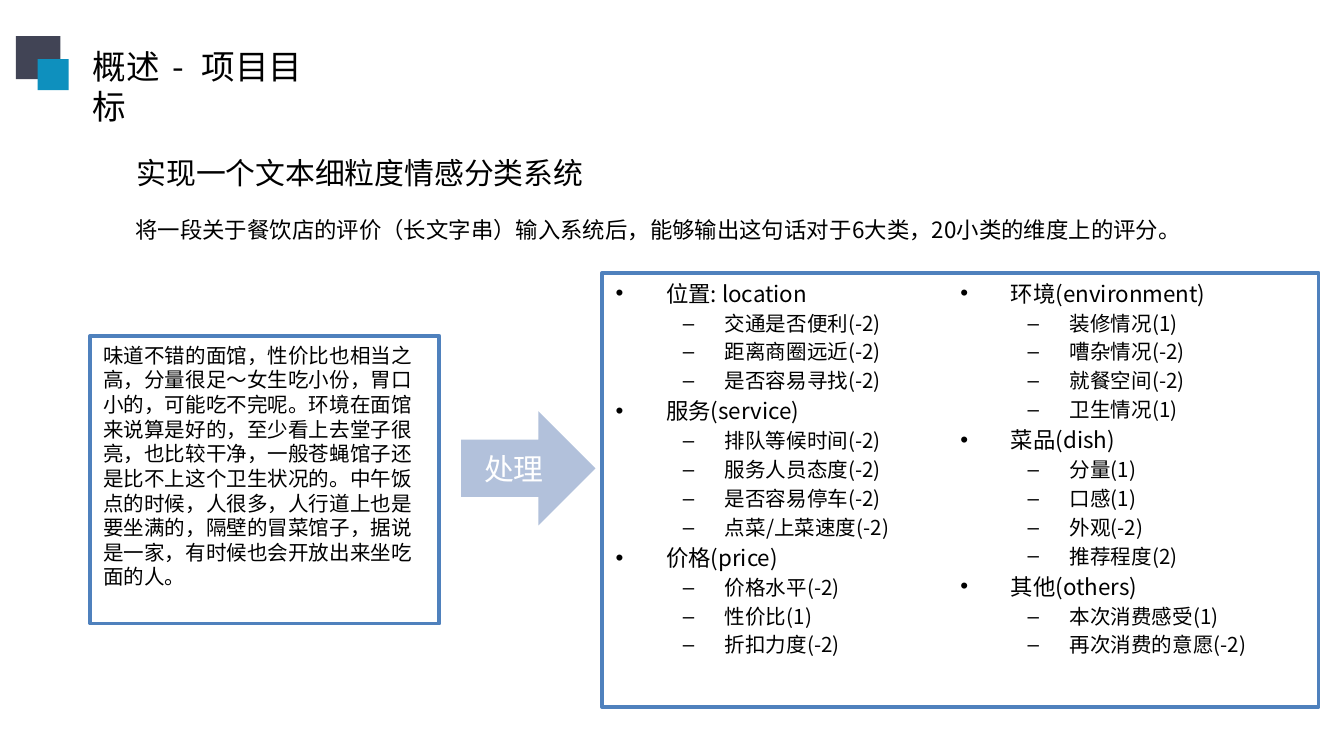
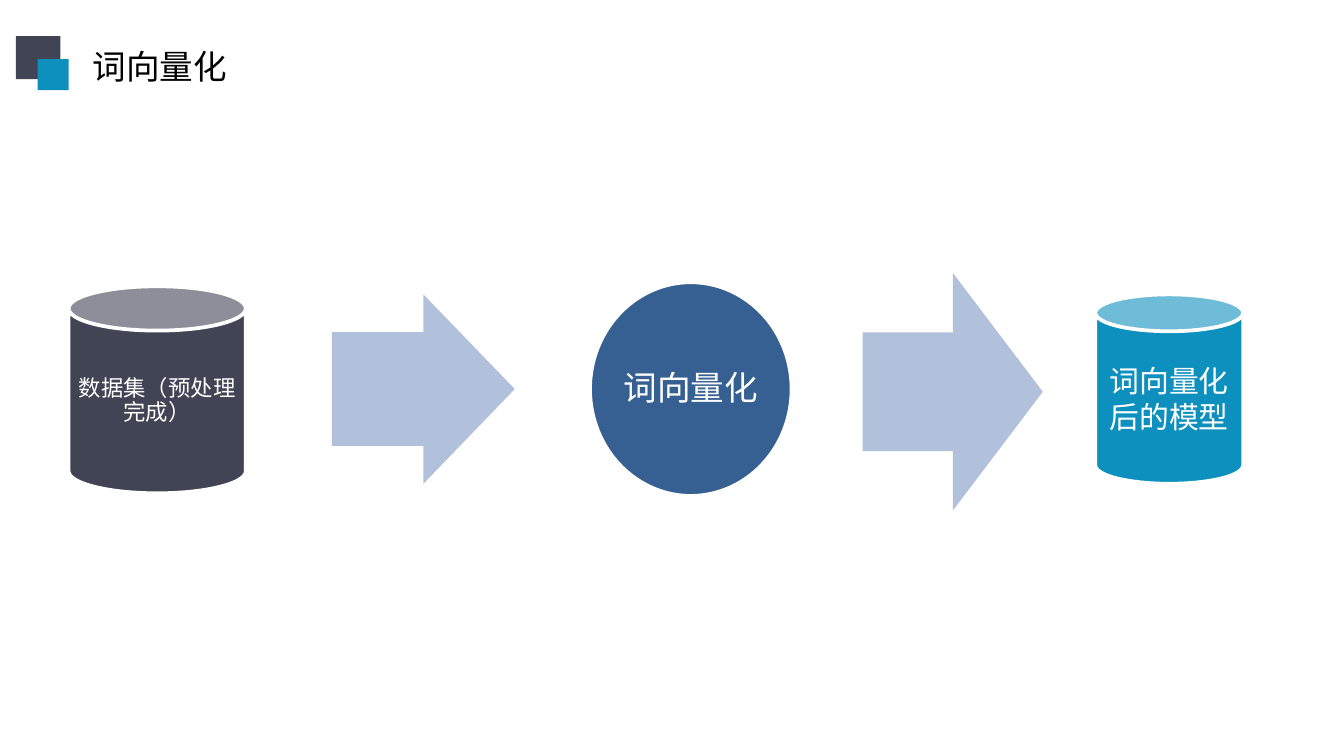
"""Build two slides on fine-grained sentiment classification of restaurant reviews."""
import pptx
import pptx.dml.color
import pptx.enum.shapes
import pptx.enum.text
import pptx.oxml.ns
import pptx.util

Pt = pptx.util.Pt
RGBColor = pptx.dml.color.RGBColor
SHAPE = pptx.enum.shapes.MSO_SHAPE
ALIGN = pptx.enum.text.PP_ALIGN
ANCHOR = pptx.enum.text.MSO_ANCHOR
qn = pptx.oxml.ns.qn

BLACK = RGBColor(0x00, 0x00, 0x00)
WHITE = RGBColor(0xFF, 0xFF, 0xFF)
SLATE = RGBColor(0x41, 0x44, 0x55)
CYAN = RGBColor(0x0E, 0x90, 0xBE)
NAVY = RGBColor(0x37, 0x60, 0x92)
FRAME = RGBColor(0x4F, 0x81, 0xBD)
PALE = RGBColor(0xB2, 0xC1, 0xDB)
FONT = "Noto Sans CJK SC"
LINE_HEIGHT = 1.2
TITLE_ONLY, TITLE_AND_CONTENT = 5, 1

GOAL_TITLE = ("概述", " - ", "项目目标")
GOAL = "实现一个文本细粒度情感分类系统"
GOAL_DETAIL = "将一段关于餐饮店的评价（长文字串）输入系统后，能够输出这句话对于6大类，20小类的维度上的评分。"
REVIEW = (
    "味道不错的面馆，性价比也相当之高，分量很足～女生吃小份，胃口小的，可能吃不完呢。"
    "环境在面馆来说算是好的，至少看上去堂子很亮，也比较干净，一般苍蝇馆子还是比不上这个卫生状况的。"
    "中午饭点的时候，人很多，人行道上也是要坐满的，隔壁的冒菜馆子，据说是一家，有时候也会开放出来坐吃面的人。"
)
RATINGS = [
    ("位置: location", ["交通是否便利(-2)", "距离商圈远近(-2)", "是否容易寻找(-2)"]),
    ("服务(service)", ["排队等候时间(-2)", "服务人员态度(-2)", "是否容易停车(-2)", "点菜/上菜速度(-2)"]),
    ("价格(price)", ["价格水平(-2)", "性价比(1)", "折扣力度(-2)"]),
    ("环境(environment)", ["装修情况(1)", "嘈杂情况(-2)", "就餐空间(-2)", "卫生情况(1)"]),
    ("菜品(dish)", ["分量(1)", "口感(1)", "外观(-2)", "推荐程度(2)"]),
    ("其他(others)", ["本次消费感受(1)", "再次消费的意愿(-2)"]),
]
LEVELS = [dict(size=12, left=27, hang=27), dict(size=11, left=58.5, hang=22.5)]

VECTOR_TITLE = ("词向量化",)
PIPELINE = [
    dict(kind=SHAPE.CAN, box=(36.7, 153.4, 95, 110.9), fill=SLATE, line=WHITE,
         text="数据集（预处理完成）", size=12, spacing=0.9, inset=1.5),
    dict(kind=SHAPE.RIGHT_ARROW, box=(177.8, 157.7, 98, 101.5), fill=PALE, adjust=(0.6, 0.5)),
    dict(kind=SHAPE.OVAL, box=(316.1, 151.2, 108, 114.5), fill=NAVY, line=WHITE,
         text="词向量化", size=18, spacing=0.9, inset=2),
    dict(kind=SHAPE.RIGHT_ARROW, box=(462.2, 146.2, 96.5, 127.4), fill=PALE),
    dict(kind=SHAPE.CAN, box=(586.8, 157.7, 79.2, 101.5), fill=CYAN, line=WHITE,
         text="词向量化后的模型", size=16),
]


def place(sp, box):
    sp.left, sp.top, sp.width, sp.height = (Pt(v) for v in box)


def paint(sp, fill, line=None):
    sp.fill.solid()
    sp.fill.fore_color.rgb = fill
    if line is None:
        sp.line.fill.background()
    else:
        sp.line.color.rgb = line
        sp.line.width = Pt(2)


def add_run(p, text, size, color=BLACK, font=FONT):
    r = p.add_run()
    r.text = text
    r.font.size = Pt(size)
    r.font.color.rgb = color
    r.font.name = font
    r.font._element.get_or_add_latin().addnext(
        r.font._element.makeelement(qn("a:ea"), {"typeface": font}))
    return r


def set_frame(sp, anchor=ANCHOR.TOP):
    tf = sp.text_frame
    tf.word_wrap = True
    tf.auto_size = pptx.enum.text.MSO_AUTO_SIZE.NONE
    tf.vertical_anchor = anchor
    return tf


def write(sp, text, size, color=BLACK, font=FONT, align=ALIGN.LEFT,
          anchor=ANCHOR.TOP, spacing=1):
    tf = set_frame(sp, anchor)
    p = tf.paragraphs[0]
    p.alignment = align
    p.line_spacing = Pt(size * LINE_HEIGHT * spacing)
    add_run(p, text, size, color, font)
    return tf


def add_text(s, box, text, size, spacing=1):
    sp = s.shapes.add_textbox(*(Pt(v) for v in box))
    write(sp, text, size, spacing=spacing)


def add_figure(s, kind, box, fill, line=None, adjust=(), text=None, size=12,
               font=FONT, spacing=1, inset=None):
    sp = s.shapes.add_shape(kind, *(Pt(v) for v in box))
    sp.shadow.inherit = False
    paint(sp, fill, line)
    for i, value in enumerate(adjust):
        sp.adjustments[i] = value
    if text:
        tf = write(sp, text, size, WHITE, font, ALIGN.CENTER, ANCHOR.MIDDLE, spacing)
        if inset is not None:
            tf.margin_left = tf.margin_right = tf.margin_top = tf.margin_bottom = Pt(inset)
    return sp


def add_slide(prs, layout, title, width):
    s = prs.slides.add_slide(prs.slide_layouts[layout])
    sp = s.shapes.title
    place(sp, (42.5, 20.9, width, 28.8))
    p = set_frame(sp).paragraphs[0]
    p.alignment = ALIGN.LEFT
    p.line_spacing = Pt(18 * LINE_HEIGHT)
    for part in title:
        r = add_run(p, part, 18)
        if part.strip() == "-":
            r.font._element.set("spc", "270")
    add_figure(s, SHAPE.RECTANGLE, (8.6, 19.4, 23.8, 23), SLATE)
    add_figure(s, SHAPE.RECTANGLE, (20.2, 31.7, 16.6, 16.6), CYAN)
    return s


def fill_ratings(sp):
    place(sp, (322.6, 146.2, 383.8, 232.6))
    paint(sp, WHITE, FRAME)
    tf = set_frame(sp)
    tf.margin_bottom = Pt(20)
    tf._txBody.bodyPr.set("numCol", "2")
    rows = [row for group, items in RATINGS
            for row in [(0, group)] + [(1, item) for item in items]]
    for i, (level, text) in enumerate(rows):
        p = tf.paragraphs[0] if i == 0 else tf.add_paragraph()
        style = LEVELS[level]
        p.level = level
        p.line_spacing = Pt(style["size"] * LINE_HEIGHT)
        p.space_before = Pt(style["size"] * 0.2)
        pPr = p._p.get_or_add_pPr()
        pPr.set("marL", str(Pt(style["left"])))
        pPr.set("indent", str(-Pt(style["hang"])))
        add_run(p, text, style["size"])


def build_goal(prs):
    s = add_slide(prs, TITLE_AND_CONTENT, GOAL_TITLE, 142.6)
    add_text(s, (66.2, 79.2, 257, 26.6), GOAL, 16)
    add_text(s, (65.5, 108, 590.4, 25.9), GOAL_DETAIL, 12, spacing=1.3)
    review = add_figure(s, SHAPE.RECTANGLE, (48.2, 180, 187.2, 154.1), WHITE, FRAME)
    write(review, REVIEW, 11)
    fill_ratings(s.placeholders[1])
    add_figure(s, SHAPE.RIGHT_ARROW, (247, 220.3, 72, 61.2), PALE,
               text="处理", size=16, font="Calibri")


def build_vectors(prs):
    s = add_slide(prs, TITLE_ONLY, VECTOR_TITLE, 87.1)
    for step in PIPELINE:
        add_figure(s, **step)


prs = pptx.Presentation()
prs.slide_width, prs.slide_height = Pt(720), Pt(405)
build_goal(prs)
build_vectors(prs)
prs.save("out.pptx")
